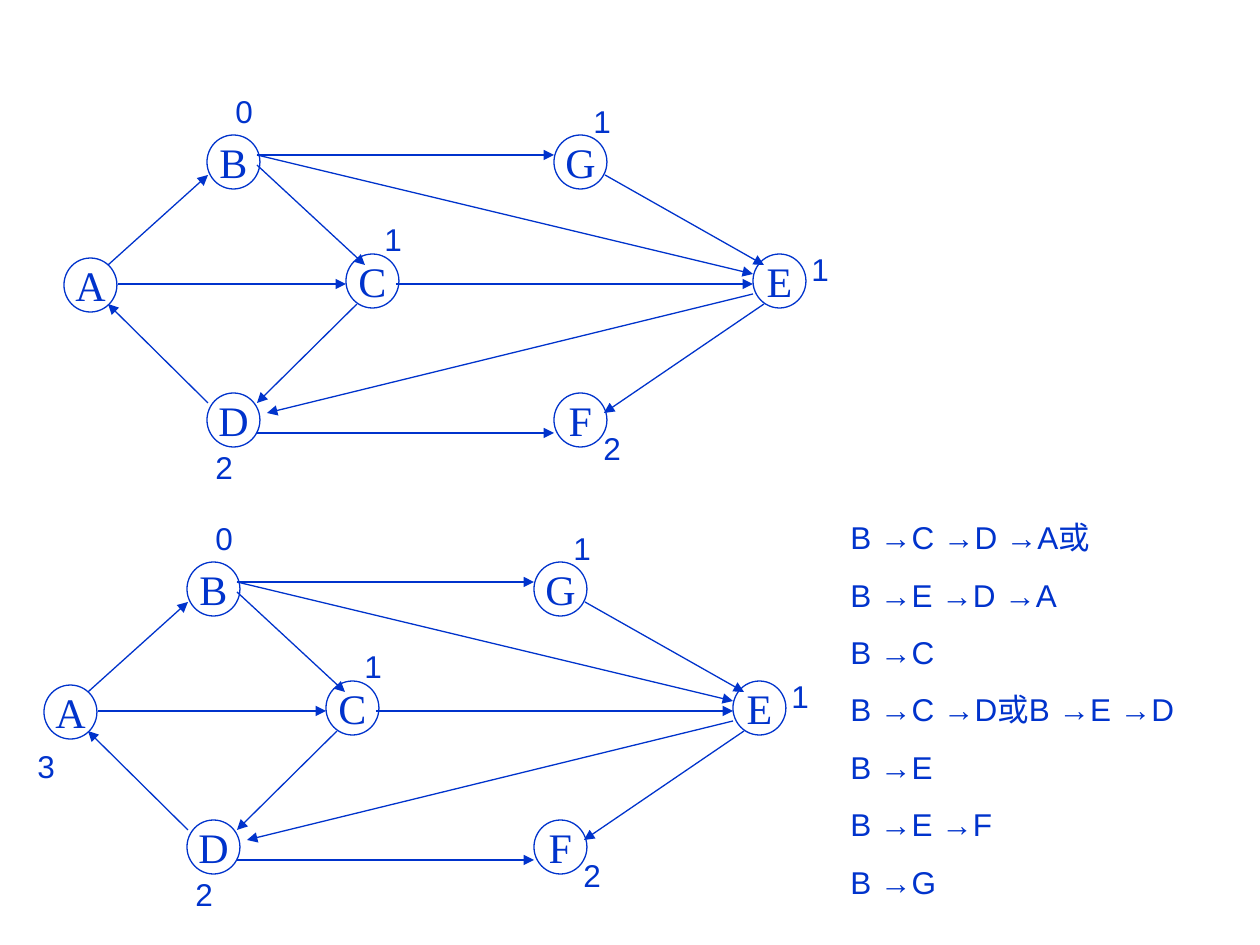
from pptx import Presentation
from pptx.dml.color import RGBColor
from pptx.enum.shapes import MSO_CONNECTOR as CONN, MSO_SHAPE as SHAPE
from pptx.enum.text import MSO_ANCHOR as ANCHOR, MSO_AUTO_SIZE as AUTO, PP_ALIGN as ALIGN
from pptx.oxml.ns import qn
from pptx.util import Emu, Pt
from lxml.etree import SubElement

NODES = {"A": (64, 258), "B": (207, 135), "D": (207, 393), "G": (554, 135),
         "F": (554, 393), "C": (346, 254), "E": (753, 254)}
EDGES = [
    (108, 265, 208, 175), (208, 403, 108, 304), (118, 284, 346, 284),
    (257, 165, 365, 265), (357, 304, 257, 403), (396, 284, 753, 284),
    (257, 155, 554, 155), (605, 175, 764, 265), (257, 155, 753, 274),
    (257, 433, 554, 433), (753, 294, 267, 413), (764, 304, 604, 413),
]
COUNTS = [("1", 372, 214, 49), ("1", 581, 96, 49), ("0", 223, 86, 49),
          ("1", 799, 244, 69), ("2", 591, 423, 59), ("2", 203, 442, 89)]
COUNT_A = ("3", 45, 314, 59)
ROUTES = ["B →C →D →A或", "B →E →D →A", "B →C", "B →C →D或B →E →D",
          "B →E", "B →E →F", "B →G"]


def px(n):
    return Emu(round(n * 914400 / 126))


def color(value):
    return RGBColor.from_string(value)


def write(tf, lines, size=18, font="Arial", fill="0033CC", align=ALIGN.LEFT, gap=11.2):
    for i, line in enumerate(lines):
        p = tf.add_paragraph() if i else tf.paragraphs[0]
        p.alignment = align
        if i:
            p.space_before = Pt(gap)
        r = p.add_run()
        r.text = line
        r.font.size = Pt(size)
        r.font.name = font
        r.font.color.rgb = color(fill)


class Deck:
    ink = "0033CC"
    weight = 0.75

    def __init__(self):
        self.prs = Presentation()
        self.prs.slide_width, self.prs.slide_height = px(1260), px(945)
        self.s = self.prs.slides.add_slide(self.prs.slide_layouts[6])

    def outline(self, sp):
        sp.line.color.rgb = color(self.ink)
        sp.line.width = Pt(self.weight)

    def node(self, shapes, name, x, y):
        sp = shapes.add_shape(SHAPE.OVAL, px(x), px(y), px(53), px(54))
        sp.shadow.inherit = False
        sp.fill.background()
        self.outline(sp)
        tf = sp.text_frame
        tf.word_wrap = False
        tf.vertical_anchor = ANCHOR.MIDDLE
        write(tf, [name], size=24, font="Times New Roman", fill=self.ink, align=ALIGN.CENTER)

    def arrow(self, shapes, x1, y1, x2, y2):
        sp = shapes.add_connector(CONN.STRAIGHT, px(x1), px(y1), px(x2), px(y2))
        self.outline(sp)
        props = sp._element.spPr
        SubElement(props.find(qn("a:ln")), qn("a:tailEnd"), type="triangle")
        SubElement(props, qn("a:effectLst"))

    def text(self, lines, x, y, w, h=50):
        sp = self.s.shapes.add_textbox(px(x), px(y), px(w), px(h))
        tf = sp.text_frame
        tf.word_wrap = True
        tf.auto_size = AUTO.SHAPE_TO_FIT_TEXT
        write(tf, lines, fill=self.ink)

    def graph(self, dx, dy, counts):
        group = self.s.shapes.add_group_shape()
        for name, (x, y) in NODES.items():
            self.node(group.shapes, name, x + dx, y + dy)
        for x1, y1, x2, y2 in EDGES:
            self.arrow(group.shapes, x1 + dx, y1 + dy, x2 + dx, y2 + dy)
        for count, x, y, w in counts:
            self.text([count], x + dx, y + dy, w)


def main():
    deck = Deck()
    deck.graph(0, 0, COUNTS)
    deck.graph(-20, 427, COUNTS + [COUNT_A])
    deck.text(ROUTES, 838, 512, 377, 396)
    deck.prs.save("out.pptx")


if __name__ == "__main__":
    main()
